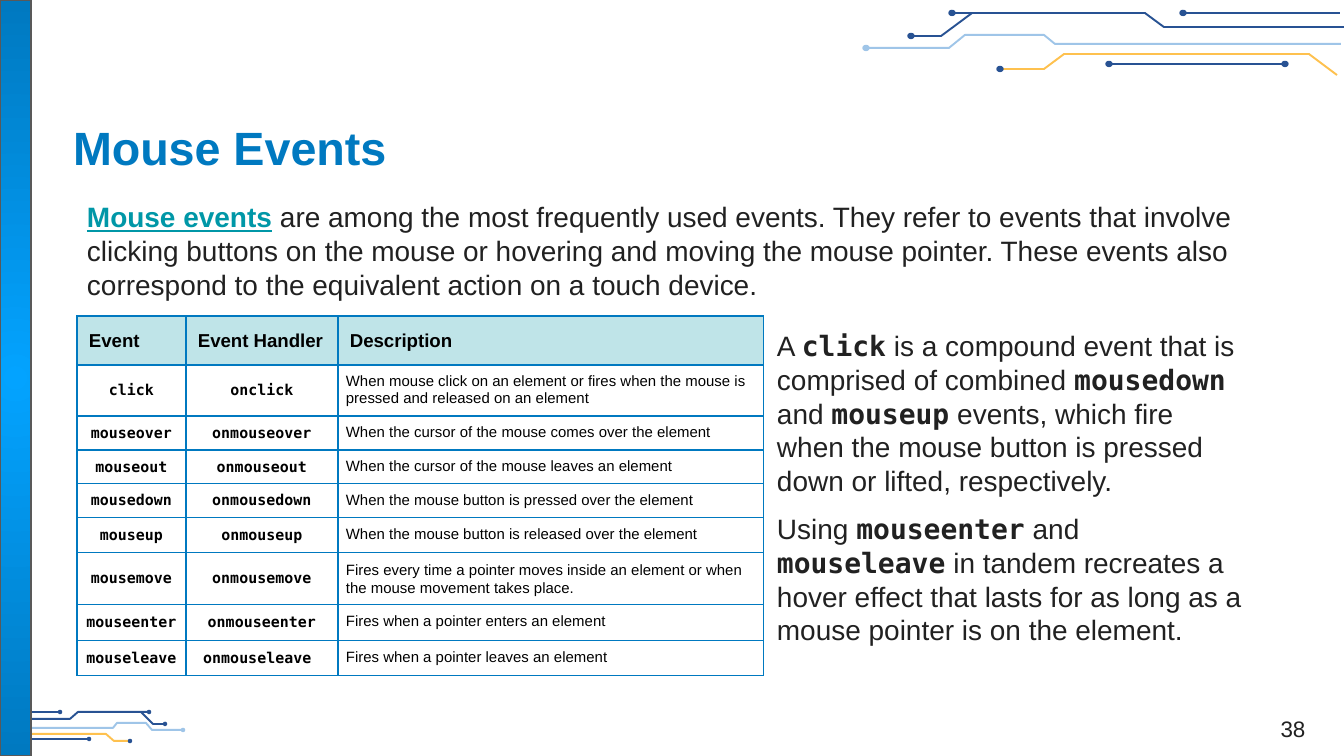
from lxml.etree import SubElement
from pptx import Presentation
from pptx.dml.color import RGBColor
from pptx.enum.shapes import MSO_CONNECTOR, MSO_SHAPE
from pptx.enum.text import MSO_ANCHOR, MSO_AUTO_SIZE, PP_ALIGN
from pptx.oxml import parse_xml
from pptx.oxml.ns import nsdecls, qn
from pptx.util import Emu, Pt

PX = 914400 / 134.4
SANS, MONO = "Arial", "DejaVu Sans Mono"
WHITE = RGBColor(0xFF, 0xFF, 0xFF)
BLACK = RGBColor(0x00, 0x00, 0x00)
INK = RGBColor(0x21, 0x21, 0x21)
BLUE = RGBColor(0x00, 0x79, 0xC0)
BRIGHT = RGBColor(0x03, 0xA3, 0xFF)
TEAL = RGBColor(0x00, 0x97, 0xA7)
GREY = RGBColor(0x59, 0x59, 0x59)
NAVY = RGBColor(0x28, 0x52, 0x93)
SKY = RGBColor(0x9F, 0xC5, 0xE8)
AMBER = RGBColor(0xFE, 0xC1, 0x4F)

TOP_LINES = [
    (NAVY, [(482, 17), (302, 17), (283, 3), (90, 3)]),
    (NAVY, [(110, 3), (79, 26), (49, 26)]),
    (NAVY, [(478, 3), (321, 3)]),
    (AMBER, [(475, 65), (447, 44), (202, 44), (182, 59), (138, 59)]),
    (NAVY, [(423, 54), (247, 54)]),
    (SKY, [(479, 34), (193, 34), (182, 25), (103, 25), (87, 38), (4, 38)]),
]
TOP_DOTS = [(SKY, 4, 38), (NAVY, 90, 3), (NAVY, 49, 26), (NAVY, 321, 3),
            (NAVY, 138, 59), (NAVY, 423, 54), (NAVY, 247, 54)]
BOTTOM_LINES = [
    (NAVY, [(4, 9), (70, 9), (78, 2), (149, 2)]),
    (NAVY, [(141, 2), (153, 14), (165, 14)]),
    (NAVY, [(0, 2), (60, 2)]),
    (AMBER, [(1, 35), (12, 24), (106, 24), (114, 31), (130, 31)]),
    (NAVY, [(21, 29), (89, 29)]),
    (SKY, [(8, 18), (113, 18), (117, 13), (146, 13), (152, 20), (183, 20)]),
]
BOTTOM_DOTS = [(SKY, 183, 20), (NAVY, 149, 2), (NAVY, 165, 14),
               (NAVY, 60, 2), (NAVY, 130, 31), (NAVY, 89, 29)]

COLUMNS = [109, 152, 426]
HEADER = ["Event", "Event Handler", "Description"]
EVENTS = [
    (51, "click", "When mouse click on an element or fires when the mouse is pressed and released on an element"),
    (34, "mouseover", "When the cursor of the mouse comes over the element"),
    (34, "mouseout", "When the cursor of the mouse leaves an element"),
    (34, "mousedown", "When the mouse button is pressed over the element"),
    (35, "mouseup", "When the mouse button is released over the element"),
    (52, "mousemove", "Fires every time a pointer moves inside an element or when the mouse movement takes place."),
    (36, "mouseenter", "Fires when a pointer enters an element"),
    (35, "mouseleave ", "Fires when a pointer leaves an element"),
]
INTRO = (" are among the most frequently used events. They refer to events that involve clicking "
         "buttons on the mouse or hovering and moving the mouse pointer. These events also "
         "correspond to the equivalent action on a touch device.")
NOTES = [
    "A `click` is a compound event that is comprised of combined `mousedown` and `mouseup` events, "
    "which fire when the mouse button is pressed down or lifted, respectively.",
    "Using `mouseenter` and `mouseleave` in tandem recreates a hover effect that lasts for as long "
    "as a mouse pointer is on the element.",
]


def px(*values):
    return [Emu(round(v * PX)) for v in values]


def apply(obj, **fmt):
    for name, value in fmt.items():
        setattr(obj, name, value)


def add_run(p, text, color=INK, **fmt):
    r = p.add_run()
    r.text = text
    apply(r.font, **{"name": SANS, "size": Pt(15), "bold": False, **fmt})
    r.font.color.rgb = color


def set_frame(sp, box, x_margin, y_margin, **fmt):
    apply(sp, **dict(zip(("left", "top", "width", "height"), px(*box))))
    tf = sp.text_frame
    mx, my = px(x_margin, y_margin)
    apply(tf, **{"word_wrap": True, "auto_size": MSO_AUTO_SIZE.NONE,
                 "margin_left": mx, "margin_right": mx,
                 "margin_top": my, "margin_bottom": my, **fmt})
    return tf


def draw_circuit(s, x, y, lines, dots, dot_size):
    shapes = s.shapes.add_group_shape().shapes
    for color, points in lines:
        points = [(x + a, y + b) for a, b in points]
        if len(points) == 2:
            sp = shapes.add_connector(MSO_CONNECTOR.STRAIGHT, *px(*points[0], *points[1]))
            SubElement(sp._element.spPr, qn("a:effectLst"))
        else:
            builder = shapes.build_freeform(*points[0], scale=PX)
            builder.add_line_segments(points[1:], close=False)
            sp = builder.convert_to_shape()
            sp.fill.background()
            sp.shadow.inherit = False
        sp.line.color.rgb = color
        sp.line.width = Pt(1.03)
    w, h = dot_size
    for color, cx, cy in dots:
        dot = shapes.add_shape(MSO_SHAPE.OVAL, *px(x + cx - w / 2, y + cy - h / 2, w, h))
        dot.shadow.inherit = False
        dot.fill.solid()
        dot.fill.fore_color.rgb = color
        dot.line.color.rgb = color
        dot.line.width = Pt(0.75)


def draw_side_bar(s, box):
    bar = s.shapes.add_shape(MSO_SHAPE.RECTANGLE, *px(*box))
    bar.shadow.inherit = False
    bar.line.color.rgb = GREY
    bar.line.width = Pt(0.75)
    bar._element.spPr.find(qn("a:prstGeom")).addnext(parse_xml(
        f'<a:gradFill {nsdecls("a")}><a:gsLst>'
        f'<a:gs pos="0"><a:srgbClr val="{BRIGHT}"/></a:gs>'
        f'<a:gs pos="100000"><a:srgbClr val="{BLUE}"/></a:gs></a:gsLst>'
        '<a:path path="circle"><a:fillToRect l="50000" t="50000" r="50000" b="50000"/></a:path>'
        '</a:gradFill>'))


def write_title(s, box):
    tf = set_frame(s.shapes.title, box, 10, 10, vertical_anchor=MSO_ANCHOR.MIDDLE)
    p = tf.paragraphs[0]
    p.alignment = PP_ALIGN.LEFT
    add_run(p, "Mouse Events", BLUE, size=Pt(25), bold=True)


def write_intro(s, box):
    tf = set_frame(s.placeholders[1], box, 10, 10, vertical_anchor=MSO_ANCHOR.TOP)
    p = tf.paragraphs[0]
    apply(p, space_before=Pt(0), space_after=Pt(8))
    pPr = p._p.get_or_add_pPr()
    pPr.set("marL", "0")
    pPr.set("indent", "0")
    SubElement(pPr, qn("a:buNone"))
    add_run(p, "Mouse events", TEAL, bold=True, underline=True)
    add_run(p, INTRO)


def fill_cell(cell, text, color, margin, anchor, para, font):
    m = px(margin)[0]
    apply(cell, margin_left=m, margin_right=m, margin_top=m, margin_bottom=m,
          vertical_anchor=anchor)
    p = cell.text_frame.paragraphs[0]
    apply(p, **para)
    add_run(p, text, BLACK, **font)
    tcPr = cell._tc.get_or_add_tcPr()
    for side in ("lnL", "lnR", "lnT", "lnB"):
        tcPr.append(parse_xml(
            f'<a:{side} {nsdecls("a")} w="{Pt(0.75)}"><a:solidFill>'
            f'<a:srgbClr val="{BLUE}"/></a:solidFill></a:{side}>'))
    cell.fill.solid()
    cell.fill.fore_color.rgb = color


def draw_event_table(s, x, y):
    heights = [49] + [row[0] for row in EVENTS]
    frame = s.shapes.add_table(len(heights), len(COLUMNS),
                               *px(x, y, sum(COLUMNS), sum(heights)))
    table = frame.table
    for col, width in zip(table.columns, px(*COLUMNS)):
        col.width = width
    for row, height in zip(table.rows, px(*heights)):
        row.height = height
    for c, text in enumerate(HEADER):
        cell = table.cell(0, c)
        fill_cell(cell, text, TEAL, 12, MSO_ANCHOR.TOP, {"line_spacing": 1.15},
                  {"size": Pt(10), "bold": True})
        clr = cell._tc.tcPr.find(qn("a:solidFill")).find(qn("a:srgbClr"))
        SubElement(clr, qn("a:alpha")).set("val", "25000")
    code = (8, MSO_ANCHOR.MIDDLE, {"alignment": PP_ALIGN.CENTER},
            {"name": MONO, "size": Pt(8), "bold": True})
    for i, (height, event, description) in enumerate(EVENTS, 1):
        fill_cell(table.cell(i, 0), event, WHITE, *code)
        fill_cell(table.cell(i, 1), "on" + event, WHITE, *code)
        spacing = {"line_spacing": 1.07} if event == "mousemove" else {}
        fill_cell(table.cell(i, 2), description, WHITE, 8, MSO_ANCHOR.TOP, spacing,
                  {"size": Pt(8)})


def write_notes(s, box):
    tf = set_frame(s.shapes.add_textbox(0, 0, 0, 0), box, 13, 13)
    for i, text in enumerate(NOTES):
        p = tf.add_paragraph() if i else tf.paragraphs[0]
        if i:
            apply(p, space_before=Pt(8), space_after=Pt(8))
        for j, part in enumerate(text.split("`")):
            add_run(p, part, **({"name": MONO, "bold": True} if j % 2 else {}))


def write_page_number(s, box):
    tf = set_frame(s.shapes.add_textbox(0, 0, 0, 0), box, 10, 5,
                   vertical_anchor=MSO_ANCHOR.BOTTOM)
    p = tf.paragraphs[0]
    p.alignment = PP_ALIGN.CENTER
    add_run(p, "38", size=Pt(12))


def main():
    prs = Presentation()
    prs.slide_width, prs.slide_height = px(1344, 756)
    s = prs.slides.add_slide(prs.slide_layouts[1])
    draw_circuit(s, 0, 710, BOTTOM_LINES, BOTTOM_DOTS, (3, 3))
    draw_circuit(s, 862, 10, TOP_LINES, TOP_DOTS, (6, 5))
    draw_side_bar(s, (0, 0, 31, 756))
    write_title(s, (63, 108, 1193, 78))
    write_intro(s, (77, 190, 1203, 126))
    draw_event_table(s, 77, 316)
    write_notes(s, (764, 316, 492, 348))
    write_page_number(s, (1250, 688, 86, 59))
    prs.save("out.pptx")


if __name__ == "__main__":
    main()
